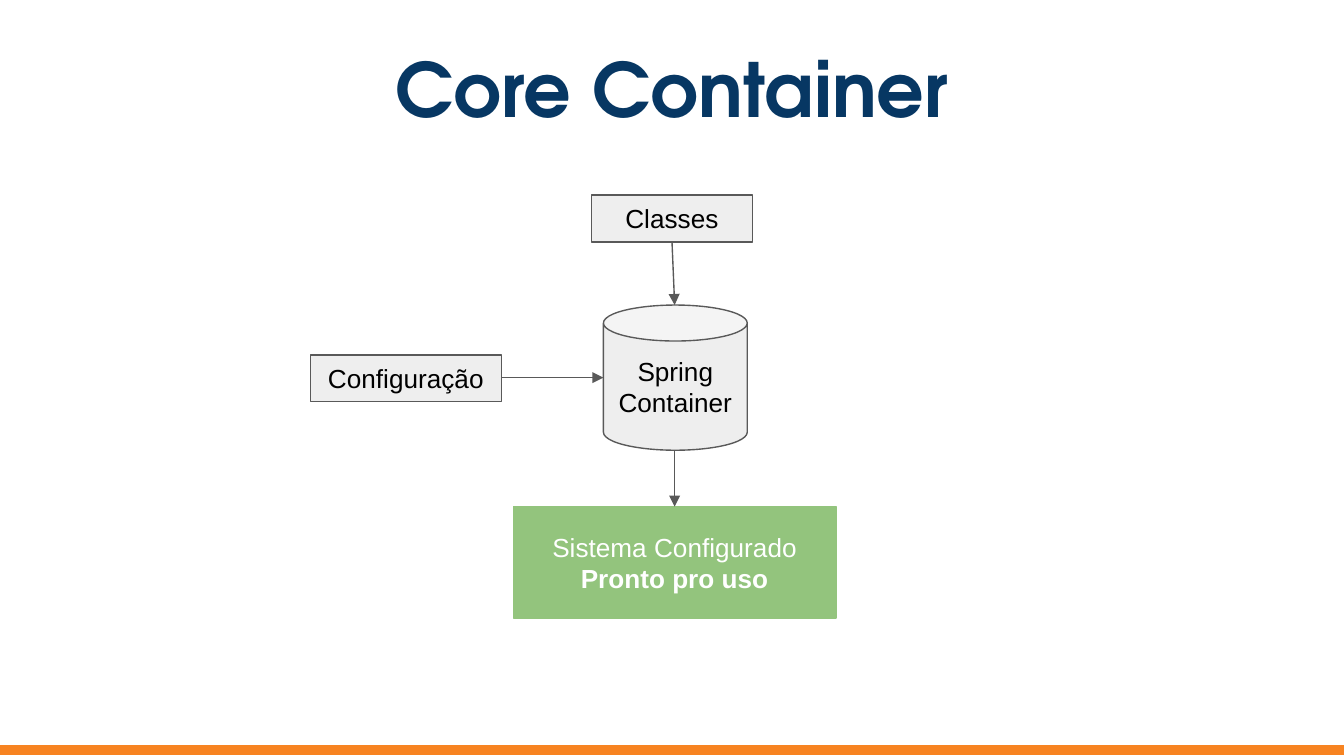
from lxml.etree import SubElement
from pptx import Presentation
from pptx.dml.color import RGBColor
from pptx.enum.shapes import MSO_CONNECTOR, MSO_SHAPE
from pptx.enum.text import MSO_ANCHOR, PP_ALIGN
from pptx.oxml.ns import qn
from pptx.util import Inches, Pt

COLORS = {"navy": "073763", "orange": "F78321", "gray": "EEEEEE", "line": "595959",
          "green": "93C47D", "black": "000000", "white": "FFFFFF"}
WIDTH = 10
HEIGHT = WIDTH * 9 / 16
AXIS_X, AXIS_Y = 5.02, 2.81
TITLE = "Core Container"
NODES = [
    dict(lines=[("Spring Container", False)], kind=MSO_SHAPE.CAN,
         box=(4.49, 2.27, 1.07, 1.08)),
    dict(lines=[("Classes", False)], box=(4.4, 1.45, 1.2, 0.35)),
    dict(lines=[("Configuração", False)], box=(2.31, 2.64, 1.42, 0.35)),
    dict(lines=[("Sistema Configurado", False), ("Pronto pro uso", True)],
         box=(3.82, 3.77, 2.4, 0.83), fill="green", line="green", color="white"),
]
ARROWS = [(WIDTH / 2, 1.8, AXIS_X, 2.27),
          (3.73, AXIS_Y, 4.49, AXIS_Y),
          (AXIS_X, 3.35, AXIS_X, 3.77)]


def rgb(name):
    """Return a palette colour."""
    return RGBColor.from_string(COLORS[name])


def write(shape, lines, size=14, font="Arial", color="black"):
    """Write centred lines given as (text, bold) pairs."""
    frame = shape.text_frame
    frame.word_wrap = True
    frame.vertical_anchor = MSO_ANCHOR.MIDDLE
    frame.margin_left = frame.margin_right = Inches(0.1)
    frame.margin_top = frame.margin_bottom = Inches(0.1)
    for index, (text, bold) in enumerate(lines):
        paragraph = frame.add_paragraph() if index else frame.paragraphs[0]
        paragraph.alignment = PP_ALIGN.CENTER
        run = paragraph.add_run()
        run.text = text
        run.font.name, run.font.size, run.font.bold = font, Pt(size), bold
        run.font.color.rgb = rgb(color)


def add_block(slide, box, kind=MSO_SHAPE.RECTANGLE, fill="gray", line="line"):
    """Add a filled and outlined shape."""
    shape = slide.shapes.add_shape(kind, *map(Inches, box))
    shape.shadow.inherit = False
    shape.fill.solid()
    shape.fill.fore_color.rgb = rgb(fill)
    shape.line.color.rgb = rgb(line)
    shape.line.width = Pt(0.75)
    return shape


def add_arrow(slide, ends):
    """Add a straight arrow between two points."""
    arrow = slide.shapes.add_connector(MSO_CONNECTOR.STRAIGHT, *map(Inches, ends))
    arrow.line.color.rgb = rgb("line")
    arrow.line.width = Pt(0.75)
    SubElement(arrow.line._get_or_add_ln(), qn("a:tailEnd"), type="triangle")
    SubElement(arrow._element.spPr, qn("a:effectLst"))


def build():
    """Build and save the slide."""
    presentation = Presentation()
    presentation.slide_width, presentation.slide_height = Inches(WIDTH), Inches(HEIGHT)
    slide = presentation.slides.add_slide(presentation.slide_layouts[5])
    title = slide.shapes.title
    title.left, title.top = Inches(0.34), Inches(0.33)
    title.width, title.height = Inches(WIDTH - 2 * 0.34), Inches(0.65)
    write(title, [(TITLE, True)], size=40, font="TeX Gyre Adventor", color="navy")
    add_block(slide, (0, 5.55, WIDTH, 0.06), fill="orange", line="orange")
    for node in NODES:
        block = add_block(slide, node["box"], node.get("kind", MSO_SHAPE.RECTANGLE),
                          node.get("fill", "gray"), node.get("line", "line"))
        write(block, node["lines"], color=node.get("color", "black"))
    for ends in ARROWS:
        add_arrow(slide, ends)
    presentation.save("out.pptx")


build()
